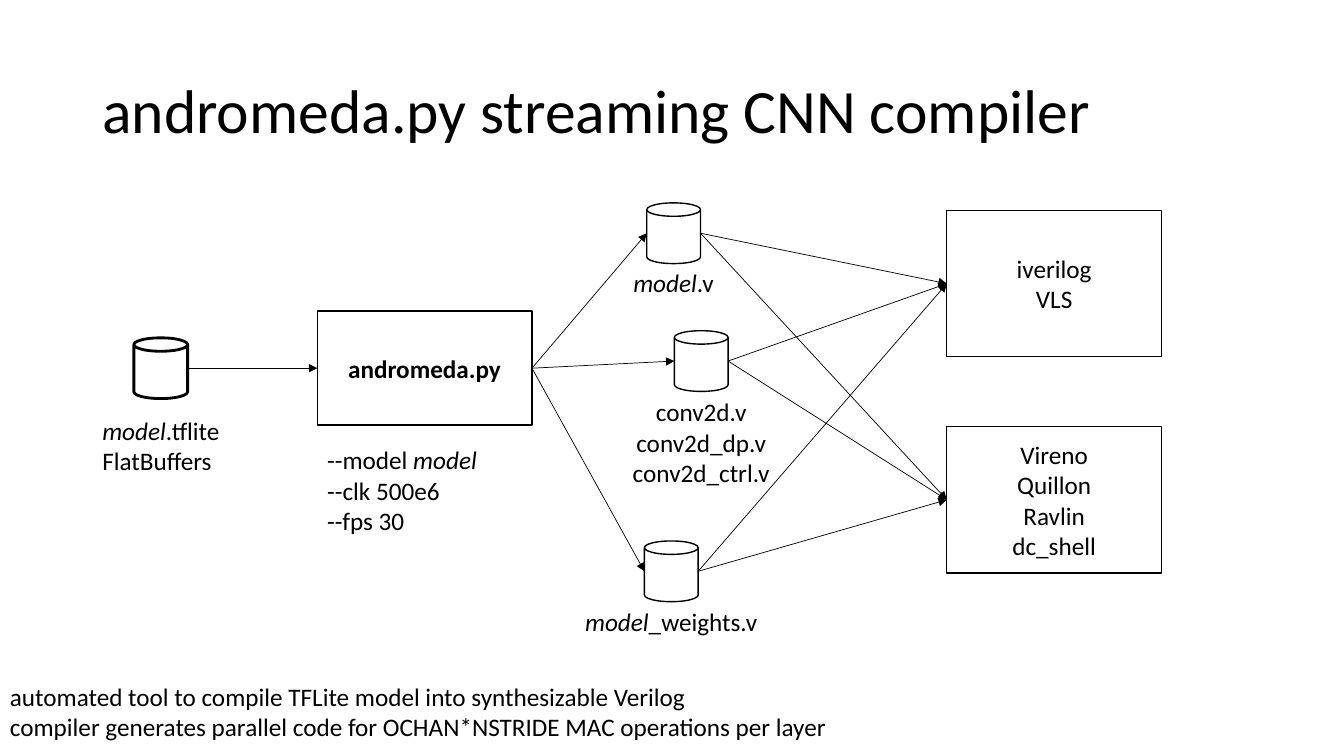
"""Build the andromeda.py streaming CNN compiler flow slide."""
from dataclasses import dataclass

import lxml.etree
import pptx
import pptx.dml.color
import pptx.enum.shapes
import pptx.enum.text
import pptx.oxml
import pptx.oxml.ns
import pptx.shapes.autoshape
import pptx.shapes.connector
import pptx.slide
import pptx.text.text
import pptx.util

Pt = pptx.util.Pt
ALIGN = pptx.enum.text.PP_ALIGN
ANCHOR = pptx.enum.text.MSO_ANCHOR
SHAPE = pptx.enum.shapes.MSO_SHAPE
COLORS = {"ink": "000000"}
FONT = "Calibri"
CAN_WIDTH, CAN_HEIGHT = 38.4, 43.4
TOOL_WIDTH = 153.4


@dataclass(frozen=True)
class Line:
    text: str
    italic_lead: str = ""
    italic_tail: str = ""


@dataclass(frozen=True)
class Can:
    left: float
    middle: float
    weight: float = 1

    @property
    def right(self) -> float:
        return self.left + CAN_WIDTH


@dataclass(frozen=True)
class Box:
    left: float
    middle: float
    height: float
    lines: tuple[Line, ...]
    bold: bool = False

    @property
    def right(self) -> float:
        return self.left + TOOL_WIDTH


@dataclass(frozen=True)
class Label:
    left: float
    top: float
    width: float
    height: float
    lines: tuple[Line, ...]
    centered: bool = False
    wrap: bool = False


TITLE = Line("andromeda.py streaming CNN compiler")
MODEL_FILE = Can(95.6, 263, 2)
GENERATED = (Can(462, 166.6), Can(481.7, 257.9), Can(460.3, 408.1))
COMPILER = Box(226.6, 263, 81.4, (Line("andromeda.py"),), True)
CONSUMERS = (
    Box(676.3, 202.6, 104.4, (Line("iverilog"), Line("VLS"))),
    Box(676.3, 357, 104.4,
        (Line("Vireno"), Line("Quillon"), Line("Ravlin"), Line("dc_shell"))),
)
LABELS = (
    Label(66, 293.2, 101, 50.9, (Line(".tflite", "model"), Line("FlatBuffers"))),
    Label(226.6, 314.1, 127.4, 72.7,
          (Line("--model ", italic_tail="model"), Line("--clk 500e6"), Line("--fps 30"))),
    Label(444.4, 187.5, 73.4, 29.1, (Line(".v", "model"),), True),
    Label(444.4, 279.8, 113, 72.7,
          (Line("conv2d.v"), Line("conv2d_dp.v"), Line("conv2d_ctrl.v")), True),
    Label(409.6, 429.7, 139.7, 29.1, (Line("_weights.v", "model"),), True),
    Label(0, 483.3, 802, 50.9,
          (Line("automated tool to compile TFLite model into synthesizable Verilog"),
           Line("compiler generates parallel code for OCHAN*NSTRIDE MAC operations per layer")),
          wrap=True),
)


def ink() -> pptx.dml.color.RGBColor:
    return pptx.dml.color.RGBColor.from_string(COLORS["ink"])


def write(tf: pptx.text.text.TextFrame, lines: tuple[Line, ...], align: ALIGN,
          size: float = 18, bold: bool = False) -> None:
    for i, line in enumerate(lines):
        p = tf.paragraphs[0] if i == 0 else tf.add_paragraph()
        p.alignment = align
        p.font.name, p.font.size, p.font.bold = FONT, Pt(size), bold
        p.font.color.rgb = ink()
        for text, italic in ((line.italic_lead, True), (line.text, False),
                             (line.italic_tail, True)):
            if text:
                r = p.add_run()
                r.text = text
                if italic:
                    r.font.italic = True


def add_outline(s: pptx.slide.Slide, kind: SHAPE, left: float, middle: float, width: float,
                height: float, weight: float) -> pptx.shapes.autoshape.Shape:
    sp = s.shapes.add_shape(kind, Pt(left), Pt(middle - height / 2), Pt(width), Pt(height))
    sp.shadow.inherit = False
    sp.fill.background()
    sp.line.color.rgb = ink()
    sp.line.width = Pt(weight)
    return sp


def add_can(s: pptx.slide.Slide, can: Can) -> None:
    add_outline(s, SHAPE.CAN, can.left, can.middle, CAN_WIDTH, CAN_HEIGHT, can.weight)


def add_box(s: pptx.slide.Slide, box: Box) -> pptx.shapes.autoshape.Shape:
    sp = add_outline(s, SHAPE.RECTANGLE, box.left, box.middle, TOOL_WIDTH, box.height, 1)
    sp.text_frame.vertical_anchor = ANCHOR.MIDDLE
    write(sp.text_frame, box.lines, ALIGN.CENTER, bold=box.bold)
    return sp


def add_label(s: pptx.slide.Slide, label: Label) -> None:
    sp = s.shapes.add_textbox(Pt(label.left), Pt(label.top), Pt(label.width), Pt(label.height))
    tf = sp.text_frame
    tf.word_wrap = label.wrap
    tf.auto_size = pptx.enum.text.MSO_AUTO_SIZE.SHAPE_TO_FIT_TEXT
    write(tf, label.lines, ALIGN.CENTER if label.centered else ALIGN.LEFT)


def add_title(s: pptx.slide.Slide) -> None:
    sp = s.shapes.add_textbox(Pt(66), Pt(28.8), Pt(828), Pt(104.4))
    tf = sp.text_frame
    tf.word_wrap = True
    tf.vertical_anchor = ANCHOR.MIDDLE
    write(tf, (TITLE,), ALIGN.LEFT, 44)
    tf.paragraphs[0].line_spacing = 0.9


def add_arrow(s: pptx.slide.Slide, start: Can | Box,
              end: Can | Box) -> pptx.shapes.connector.Connector:
    cx = s.shapes.add_connector(pptx.enum.shapes.MSO_CONNECTOR.STRAIGHT, Pt(start.right),
                                Pt(start.middle), Pt(end.left), Pt(end.middle))
    cx.line.color.rgb = ink()
    cx.line.width = Pt(0.5)
    qn = pptx.oxml.ns.qn
    lxml.etree.SubElement(cx.line._get_or_add_ln(), qn("a:tailEnd"), type="triangle")
    lxml.etree.SubElement(cx._element.spPr, qn("a:effectLst"))
    return cx


def main() -> None:
    prs = pptx.Presentation()
    prs.slide_width, prs.slide_height = Pt(960), Pt(540)
    s = prs.slides.add_slide(prs.slide_layouts[6])
    add_title(s)
    for can in (MODEL_FILE, *GENERATED):
        add_can(s, can)
    compiler = add_box(s, COMPILER)
    consumers = [(box, add_box(s, box)) for box in CONSUMERS]
    for label in LABELS:
        add_label(s, label)
    add_arrow(s, MODEL_FILE, COMPILER).end_connect(compiler, 1)
    for can in GENERATED:
        add_arrow(s, COMPILER, can).begin_connect(compiler, 3)
        for box, sp in consumers:
            add_arrow(s, can, box).end_connect(sp, 1)
    prs.save("out.pptx")


if __name__ == "__main__":
    main()
